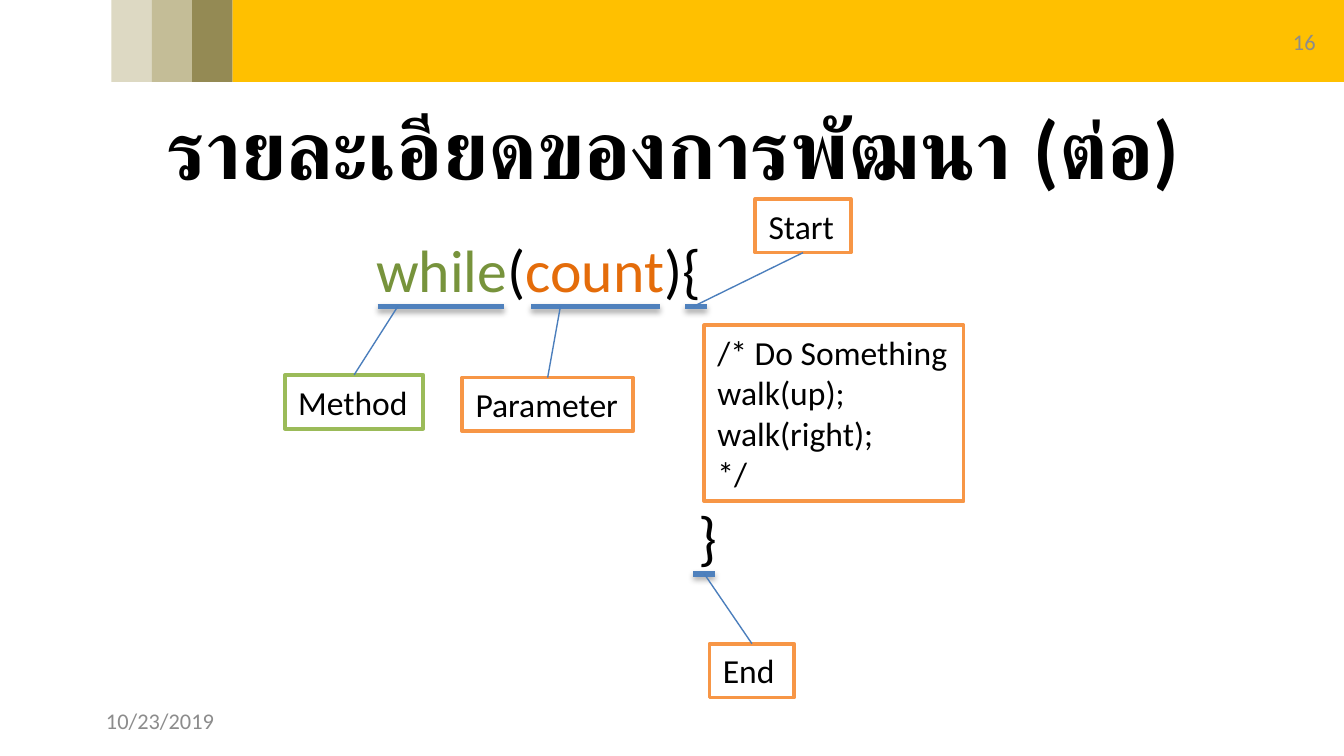
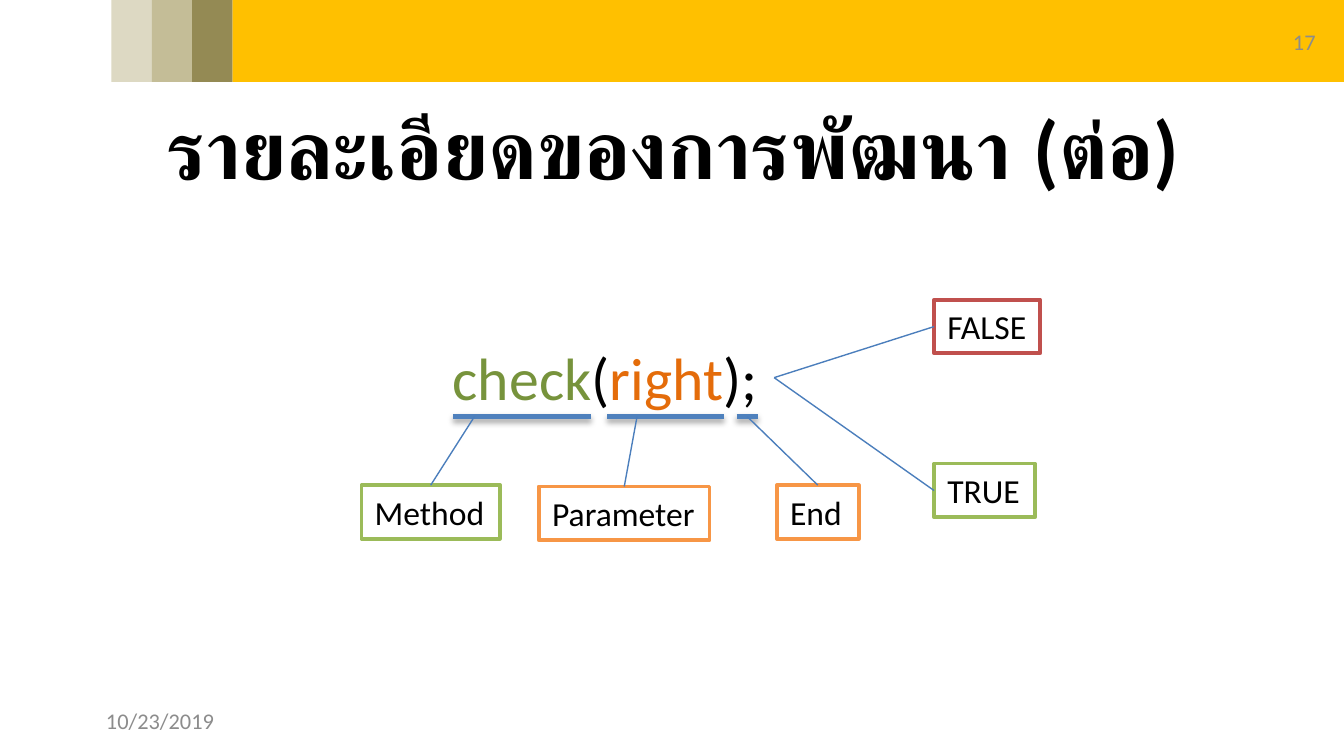
from lxml import etree
from pptx import Presentation
from pptx.dml.color import RGBColor
from pptx.enum.shapes import MSO_CONNECTOR, MSO_SHAPE
from pptx.enum.text import MSO_ANCHOR, MSO_AUTO_SIZE, PP_ALIGN
from pptx.oxml.ns import qn
from pptx.util import Inches, Pt

STRAIGHT = MSO_CONNECTOR.STRAIGHT
RECTANGLE = MSO_SHAPE.RECTANGLE
TOP, MIDDLE = MSO_ANCHOR.TOP, MSO_ANCHOR.MIDDLE
LEFT, CENTER = PP_ALIGN.LEFT, PP_ALIGN.CENTER
GROW, FIXED = MSO_AUTO_SIZE.SHAPE_TO_FIT_TEXT, MSO_AUTO_SIZE.NONE
TOP_SIDE, LEFT_SIDE, BOTTOM_SIDE = 0, 1, 2

COLUMNS = 10
ROWS = COLUMNS * 9 / 16
CELL = Inches(1)
BAND_HEIGHT = 0.61
STRIPE_LEFT, STRIPE_WIDTH = 0.83, 0.3
STRIPES = ["DDD9C3", "C4BD97", "948A54"]
YELLOW, GREEN, ORANGE, RED = "FFC000", "9BBB59", "F79646", "C0504D"
BLACK, WHITE, GRAY = "000000", "FFFFFF", "8C8C8C"
METHOD_TEXT, PARAMETER_TEXT = "77933C", "E46C0A"
UNDERLINE, POINTER = "4F81BD", "4B7EBC"
TITLE = {"size": Pt(44), "bold": True}
FOOTER = {"size": Pt(12)}
CODE = {"size": Pt(32)}
LABEL = {"size": Pt(18)}
LABEL_HEIGHT = 0.4


def color(value):
    return RGBColor.from_string(value)


def grid(*cells):
    return [round(cell * CELL) for cell in cells]


def add_text(page, place, lines, formats, anchor=TOP, align=LEFT, size=FIXED, wrap=True):
    box = page.shapes.add_textbox(*grid(*place))
    frame = box.text_frame
    frame.auto_size, frame.word_wrap, frame.vertical_anchor = size, wrap, anchor
    for index, line in enumerate(lines):
        para = frame.add_paragraph() if index else frame.paragraphs[0]
        para.alignment = align
        for text, ink in line:
            span = para.add_run()
            span.text = text
            span.font.color.rgb = color(ink)
            for name, value in {"name": "Calibri", **formats}.items():
                setattr(span.font, name, value)
    return box


def add_code(page, left, top, width, spans):
    add_text(page, (left, top, width, 0.64), [spans], CODE, size=GROW, wrap=False)


def add_label(page, left, top, width, text, border, height=LABEL_HEIGHT):
    lines = [[(line, BLACK)] for line in text.split("\n")]
    box = add_text(page, (left, top, width, height), lines, LABEL, size=GROW, wrap=False)
    box.fill.solid()
    box.fill.fore_color.rgb = color(WHITE)
    box.line.color.rgb = color(border)
    box.line.width = Pt(2)
    return box


def add_line(page, start, end, ink, width):
    line = page.shapes.add_connector(STRAIGHT, *grid(*start, *end))
    line.line.color.rgb = color(ink)
    line.line.width = Pt(width)
    effects = etree.SubElement(line.element.spPr, qn("a:effectLst"))
    return line, effects


def add_underline(page, left, right, top):
    effects = add_line(page, (left, top), (right, top), UNDERLINE, 3)[1]
    shadow = etree.SubElement(effects, qn("a:outerShdw"), blurRad=str(Pt(3.1)),
                              dist=str(Pt(1.8)), dir="5400000", rotWithShape="0")
    ink = etree.SubElement(shadow, qn("a:srgbClr"), val=BLACK)
    etree.SubElement(ink, qn("a:alpha"), val="35000")


def add_pointer(page, label, side, target):
    pointer = add_line(page, target, target, POINTER, 0.75)[0]
    pointer.begin_connect(label, side)


def add_band(page, left, width, ink):
    band = page.shapes.add_shape(RECTANGLE, *grid(left, 0, width, BAND_HEIGHT))
    band.shadow.inherit = False
    band.fill.solid()
    band.fill.fore_color.rgb = color(ink)
    band.line.fill.background()


def add_page(deck, number):
    page = deck.slides.add_slide(deck.slide_layouts[6])
    band_left = STRIPE_LEFT + len(STRIPES) * STRIPE_WIDTH
    add_band(page, band_left, COLUMNS - band_left, YELLOW)
    for index, ink in enumerate(STRIPES):
        add_band(page, STRIPE_LEFT + index * STRIPE_WIDTH, STRIPE_WIDTH, ink)
    add_text(page, (0.51, 0.62, 9, 0.94), [[("รายละเอียดของการพัฒนา (ต่อ)", BLACK)]],
             TITLE, MIDDLE, CENTER)
    add_text(page, (9.41, 0.01, 0.59, 0.6), [[(str(number), GRAY)]], FOOTER, MIDDLE, CENTER)
    add_text(page, (0.69, 5.21, 2.25, 0.3), [[("10/23/2019", GRAY)]], FOOTER, MIDDLE)
    return page


def add_call(page, left, top, width, method, parameter, ending):
    add_code(page, left, top, width, [(method, METHOD_TEXT), ("(", BLACK),
                                      (parameter, PARAMETER_TEXT), (ending, BLACK)])


def add_parts(page, parts):
    for text, border, place, side, underline, target in parts:
        if underline:
            add_underline(page, *underline)
        add_pointer(page, add_label(page, *place, text, border), side, target)


def add_loop_page(deck):
    page = add_page(deck, 16)
    add_call(page, 2.7, 1.68, 2.65, "while", "count", "){")
    add_code(page, 5.1, 3.67, 0.34, [("}", BLACK)])
    line, end_line = 2.28, 4.27
    add_parts(page, [
        ("Method", GREEN, (2.12, 2.79, 1.03), TOP_SIDE, (2.81, 3.75, line), (2.96, line)),
        ("Parameter", ORANGE, (3.44, 2.81, 1.27), TOP_SIDE, (3.95, 4.91, line), (4.17, line)),
        ("Start", ORANGE, (5.62, 1.48, 0.71), BOTTOM_SIDE, (5.1, 5.26, line), (5.16, line)),
        ("End", ORANGE, (5.28, 4.79, 0.63), TOP_SIDE, (5.16, 5.32, end_line), (5.24, end_line)),
    ])
    add_label(page, 5.24, 2.42, 1.93, "/* Do Something\nwalk(up);\nwalk(right);\n*/", ORANGE, 1.31)


def add_check_page(deck):
    page = add_page(deck, 17)
    add_call(page, 3.27, 2.49, 2.49, "check", "right", ");")
    line, result = 3.1, (5.76, 2.81)
    add_parts(page, [
        ("TRUE", GREEN, (6.95, 3.45, 0.75), LEFT_SIDE, None, result),
        ("FALSE", RED, (6.95, 2.23, 0.79), LEFT_SIDE, None, result),
        ("Method", GREEN, (2.69, 3.61, 1.03), TOP_SIDE, (3.37, 4.4, line), (3.53, line)),
        ("Parameter", ORANGE, (4.01, 3.62, 1.27), TOP_SIDE, (4.52, 5.39, line), (4.74, line)),
        ("End", ORANGE, (5.78, 3.61, 0.61), TOP_SIDE, (5.48, 5.64, line), (5.56, line)),
    ])


def main():
    deck = Presentation()
    deck.slide_width, deck.slide_height = grid(COLUMNS, ROWS)
    add_loop_page(deck)
    add_check_page(deck)
    deck.save("out.pptx")


if __name__ == "__main__":
    main()
